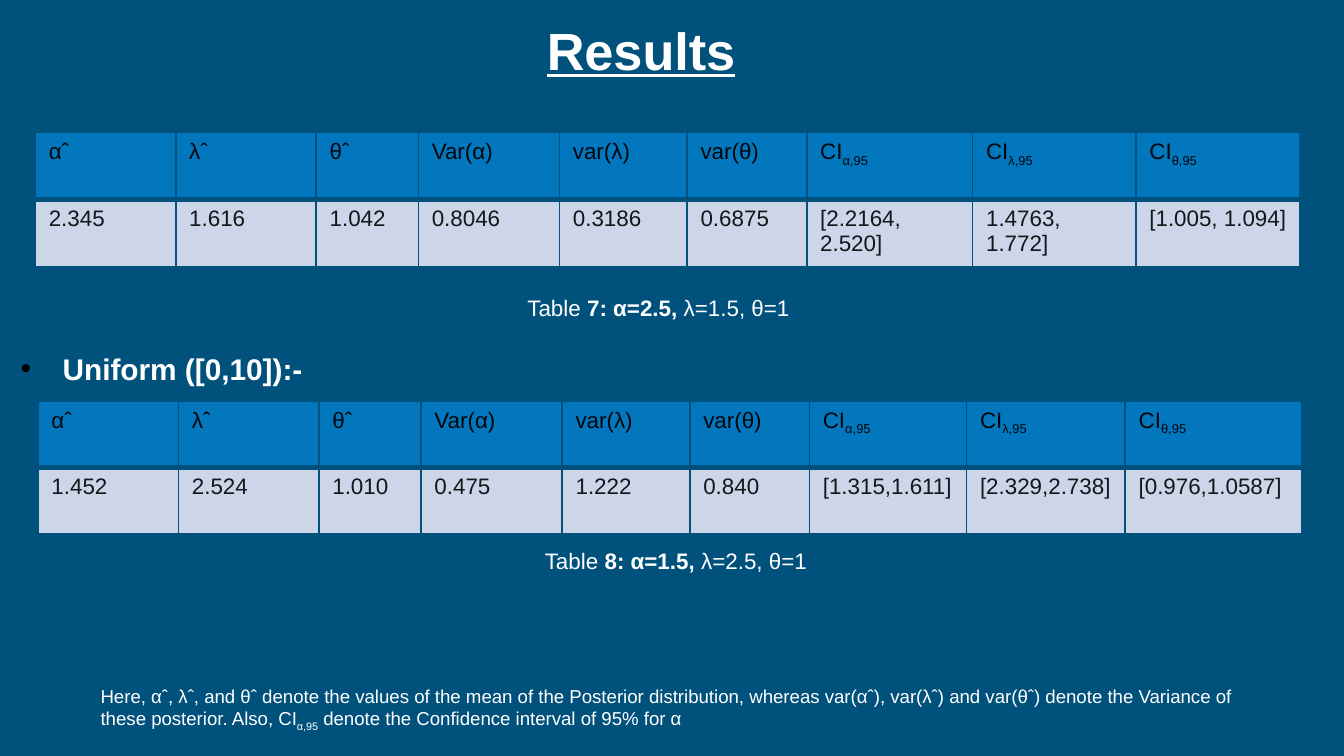
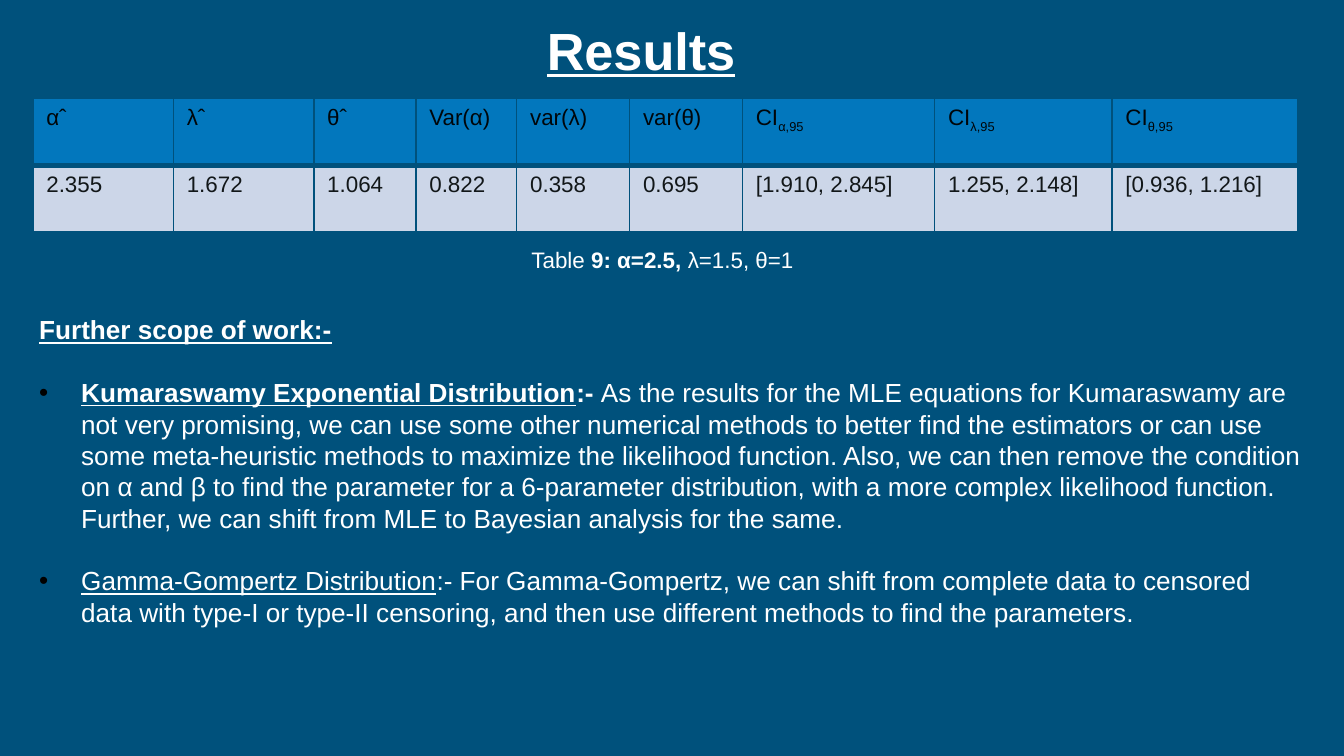
from lxml import etree
from pptx import Presentation
from pptx import util as u
from pptx.dml.color import RGBColor
from pptx.enum import text as t
from pptx.oxml import ns

BACK = RGBColor(0x00, 0x51, 0x7C)
HEAD = RGBColor(0x02, 0x77, 0xBD)
PALE = RGBColor(0xCC, 0xD6, 0xE8)
WHITE = RGBColor(0xFF, 0xFF, 0xFF)
BLACK = RGBColor(0x00, 0x00, 0x00)
INK = RGBColor(0x00, 0x06, 0x0A)
DARK = RGBColor(0x12, 0x17, 0x19)

FONT = "Arial"
STEP = u.Inches(0.1)
COLS, ROWS = 100, 56.25
SUB = {"sub": True}
BOLD = {"bold": True}
LINE = {"line": True}
LABELS = ["αˆ", "λˆ", "θˆ", "Var(α)", "var(λ)", "var(θ)"] + [
    [("CI", {}), (f"{sign},95", SUB)] for sign in "αλθ"]


def grid(*spans):
    """Turn grid columns and rows into lengths."""
    return [round(span * STEP) for span in spans]


def node(parent, tag, **attrs):
    """Append a drawing element to its parent."""
    return etree.SubElement(parent, ns.qn(f"a:{tag}"), attrs)


def write(para, parts, size=12, color=WHITE, bold=False, line=False,
          align=None, bullet=False, before=0):
    """Fill a paragraph with text, or with runs that carry their own format."""
    para.alignment = align
    para.space_before = u.Pt(before)
    if bullet:
        props = para._p.get_or_add_pPr()
        indent = u.Pt(22.5)
        props.set("marL", str(indent))
        props.set("indent", str(-indent))
        node(node(props, "buClr"), "srgbClr", val=str(BLACK))
        node(props, "buFont", typeface=FONT)
        node(props, "buChar", char="•")
    for words, style in [(parts, {})] if isinstance(parts, str) else parts:
        run = para.add_run()
        run.text = words
        font = run.font
        font.name, font.size = FONT, u.Pt(size)
        font.color.rgb = color
        font.bold = style.get("bold", bold)
        font.underline = style.get("line", line)
        if style.get("sub"):
            run._r.get_or_add_rPr().set("baseline", "-25000")


def block(slide, box, paras):
    """Place a text box that holds the given paragraphs."""
    frame = slide.shapes.add_textbox(*grid(*box)).text_frame
    frame.word_wrap = True
    frame.auto_size = t.MSO_AUTO_SIZE.SHAPE_TO_FIT_TEXT
    for i, (parts, style) in enumerate(paras):
        write(frame.add_paragraph() if i else frame.paragraphs[0],
              parts, **style)


def edge(cell, **widths):
    """Draw the four borders of a cell, one point wide unless told."""
    props = cell._tc.get_or_add_tcPr()
    for side in "LRTB":
        line = node(props, f"ln{side}", w=str(u.Pt(widths.get(side, 1))))
        node(node(line, "solidFill"), "srgbClr", val=str(BACK))


def table(slide, left, top, spans, values):
    """Place a table of labels above one row of values."""
    high = 4.95
    frame = slide.shapes.add_table(
        2, len(spans), *grid(left, top, sum(spans), 2 * high))
    chart = frame.table
    chart.first_row = chart.horz_banding = False
    for col, span in zip(chart.columns, spans):
        col.width = grid(span)[0]
    looks = [(LABELS, INK, HEAD, {"B": 3}), (values, DARK, PALE, {"T": 3})]
    for row, (items, color, fill, widths) in enumerate(looks):
        for col, item in enumerate(items):
            cell = chart.cell(row, col)
            edge(cell, **widths)
            cell.fill.solid()
            cell.fill.fore_color.rgb = fill
            write(cell.text_frame.paragraphs[0], item, color=color)


def label(slide, box, count, alpha, rest):
    """Place the centred caption of a table."""
    parts = [("Table", {}), (f" {count}: α={alpha}, ", BOLD), (rest, {})]
    block(slide, box, [(parts, {"align": t.PP_ALIGN.CENTER})])


def page(deck):
    """Add a blank slide with the shared ground and title."""
    slide = deck.slides.add_slide(deck.slide_layouts[6])
    slide.background.fill.solid()
    slide.background.fill.fore_color.rgb = BACK
    block(slide, (39.7, 0.84, 30, 5.7),
          [("Results", {"size": 28, "bold": True, "line": True})])
    return slide


def tables(deck):
    """Build the slide with two tables and a note."""
    slide = page(deck)
    first = [10.45, 10.45, 7.6, 10.5, 9.5, 8.9]
    label(slide, (27.2, 21.4, 43.6, 5), 7, 2.5, "λ=1.5, θ=1")
    table(slide, 2.63, 9.87, first + [12.35, 12.15, 12.2],
          ["2.345", "1.616", "1.042", "0.8046", "0.3186", "0.6875",
           "[2.2164, 2.520]", "1.4763, 1.772]", "[1.005, 1.094]"])
    block(slide, (0.55, 25.6, 60.5, 6.4),
          [("Uniform ([0,10]):-", {"size": 16, "bold": True, "bullet": True})])
    table(slide, 2.83, 29.83, first + [11.7, 11.8, 13.15],
          ["1.452", "2.524", "1.010", "0.475", "1.222", "0.840",
           "[1.315,1.611]", "[2.329,2.738]", "[0.976,1.0587]"])
    label(slide, (35.3, 40.24, 30, 5), 8, 1.5, "λ=2.5, θ=1")
    note = [
        ("Here, αˆ, λˆ, and θˆ denote the values of the mean of the Posterior "
         "distribution, whereas var(αˆ), var(λˆ) and var(θˆ) denote the "
         "Variance of these posterior. Also, CI", {}),
        ("α,95", SUB),
        (" denote the Confidence interval of 95% for α", {})]
    block(slide, (6.5, 50.44, 87.9, 4.4), [(note, {"size": 10})])


def scope(deck):
    """Build the slide with one table and the further work."""
    slide = page(deck)
    label(slide, (27.5, 17.8, 43.6, 5), 9, 2.5, "λ=1.5, θ=1")
    table(slide, 2.45, 7.33,
          [10.45, 10.45, 7.6, 7.5, 8.4, 8.4, 14.3, 13.2, 13.8],
          ["2.355", "1.672", "1.064", "0.822", "0.358", "0.695",
           "[1.910, 2.845]", "1.255, 2.148]", "[0.936, 1.216]"])
    first = [
        ("Kumaraswamy Exponential Distribution", BOLD | LINE),
        (":- ", BOLD),
        ("As the results for the MLE equations for Kumaraswamy are not very "
         "promising, we can use some other numerical methods to better find "
         "the estimators or can use some meta-heuristic methods to maximize "
         "the likelihood function. Also, we can then remove the condition on "
         "α and β to find the parameter for a 6-parameter distribution, with "
         "a more complex likelihood function. Further, we can shift from MLE "
         "to Bayesian analysis for the same.", {})]
    second = [
        ("Gamma-Gompertz Distribution", LINE),
        (":- For Gamma-Gompertz, we can shift from complete data to censored "
         "data with type-I or type-II censoring, and then use different "
         "methods to find the parameters.", {})]
    item = {"size": 14, "bullet": True, "before": 16.8}
    block(slide, (1.93, 22.86, 96.5, 31.3), [
        ("Further scope of work:-", {"size": 14, "bold": True, "line": True}),
        (first, item), (second, item)])


def main():
    """Build both slides and save the deck."""
    deck = Presentation()
    deck.slide_width, deck.slide_height = grid(COLS, ROWS)
    tables(deck)
    scope(deck)
    deck.save("out.pptx")


if __name__ == "__main__":
    main()
